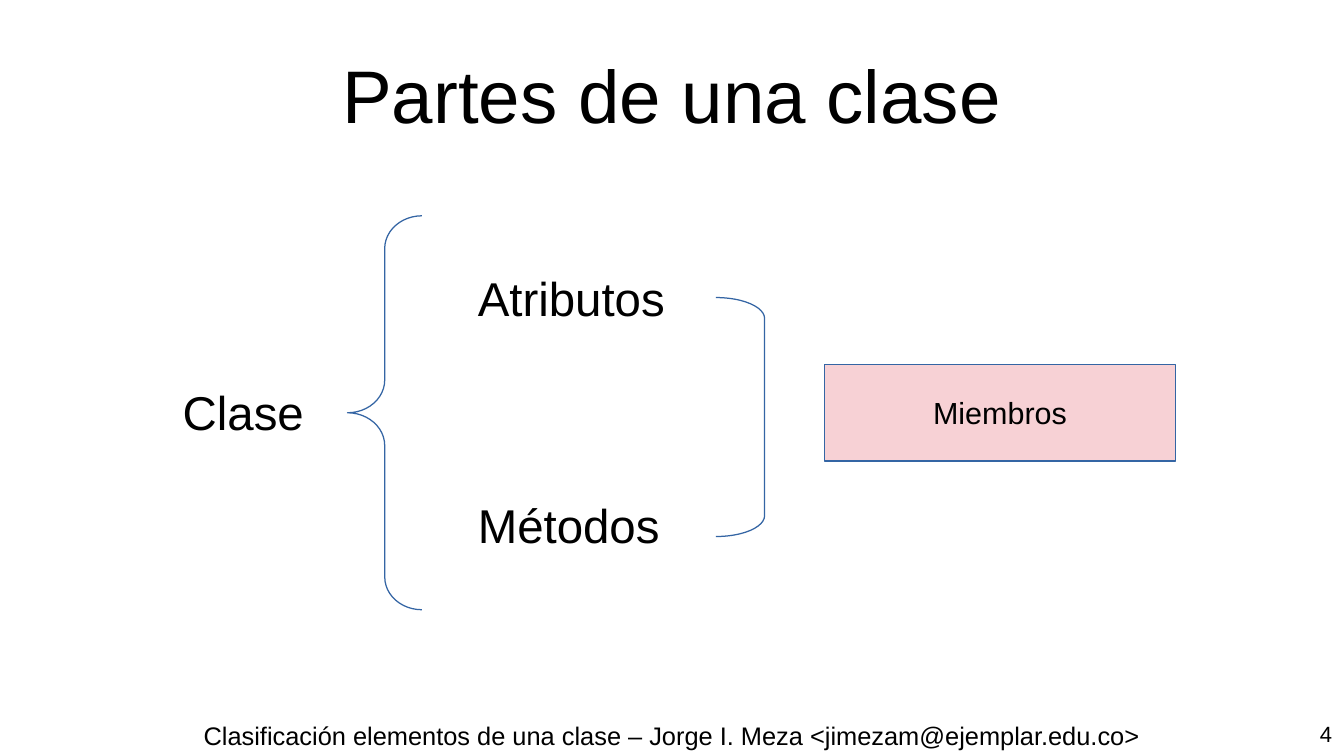
import pptx
import pptx.util
import pptx.dml.color
import pptx.enum.shapes
import pptx.enum.text

WIDE, HIGH = 11.02, 6.2
HUES = {"ink": "000000", "line": "3465A4", "pink": "F7D1D5"}
KIND = pptx.enum.shapes.MSO_SHAPE
SIDE = pptx.enum.text.PP_ALIGN
HOLD = pptx.enum.text.MSO_ANCHOR
INCH = pptx.util.Inches


def hue(name):
    return pptx.dml.color.RGBColor.from_string(HUES[name])


def part(box, left, top, wide, high):
    x, y, w, h = box
    return (x + w * left / 100, y + h * top / 100, w * wide / 100, h * high / 100)


def apply(item, form):
    for key, value in form.items():
        setattr(item, key, value)


def write(shape, text, size, align=SIDE.LEFT, anchor=HOLD.TOP, pad=(0.1, 0.05)):
    across, down = (INCH(gap) for gap in pad)
    frame = shape.text_frame
    apply(frame, {"word_wrap": True, "vertical_anchor": anchor,
                  "margin_left": across, "margin_right": across,
                  "margin_top": down, "margin_bottom": down})
    line = frame.paragraphs[0]
    line.alignment = align
    run = line.add_run()
    run.text = text
    apply(run.font, {"name": "Arial", "size": pptx.util.Pt(size)})
    run.font.color.rgb = hue("ink")


def label(slide, box, text, size, **look):
    write(slide.shapes.add_textbox(*map(INCH, box)), text, size, **look)


def draw(slide, box, kind, bends=(), fill=None):
    shape = slide.shapes.add_shape(kind, *map(INCH, box))
    shape.shadow.inherit = False
    for spot, bend in enumerate(bends):
        shape.adjustments[spot] = bend
    if fill:
        shape.fill.solid()
        shape.fill.fore_color.rgb = hue(fill)
    else:
        shape.fill.background()
    shape.line.color.rgb = hue("line")
    shape.line.width = pptx.util.Pt(0)
    return shape


def footer(slide, box):
    label(slide, part(box, 0, 0, 89.13, 100),
          "Clasificación elementos de una clase – Jorge I. Meza <jimezam@ejemplar.edu.co>",
          15, align=SIDE.CENTER)
    label(slide, part(box, 89.84, 0, 10.16, 100), "4", 13, align=SIDE.RIGHT)


def title(slide, box):
    label(slide, box, "Partes de una clase", 44,
          align=SIDE.CENTER, anchor=HOLD.MIDDLE, pad=(0, 0))


def scheme(slide, box):
    label(slide, part(box, 0, 40.87, 15.66, 19.2), "Clase", 28)
    for row, text in enumerate(("Atributos", "Métodos")):
        label(slide, part(box, 29.37, 12.07 + 57.59 * row, 36.89, 19.2), text, 28)
    draw(slide, part(box, 17.6, 0, 7.4, 100), KIND.LEFT_BRACE, (0.44, 0.5))
    group = draw(slide, part(box, 65.05, 37.77, 34.95, 24.46), KIND.RECTANGLE, fill="pink")
    write(group, "Miembros", 18, align=SIDE.CENTER, anchor=HOLD.MIDDLE)
    draw(slide, part(box, 54.25, 20.74, 4.85, 60.68), KIND.RIGHT_BRACKET, (0.43,))


def main():
    deck = pptx.Presentation()
    apply(deck, {"slide_width": INCH(WIDE), "slide_height": INCH(HIGH)})
    slide = deck.slides.add_slide(deck.slide_layouts[6])
    page = (0, 0, WIDE, HIGH)
    footer(slide, part(page, 9.8, 94.52, 90.2, 5.48))
    title(slide, part(page, 5, 4.03, 90, 16.77))
    scheme(slide, part(page, 12.7, 28.55, 74.77, 52.1))
    deck.save("out.pptx")


if __name__ == "__main__":
    main()
